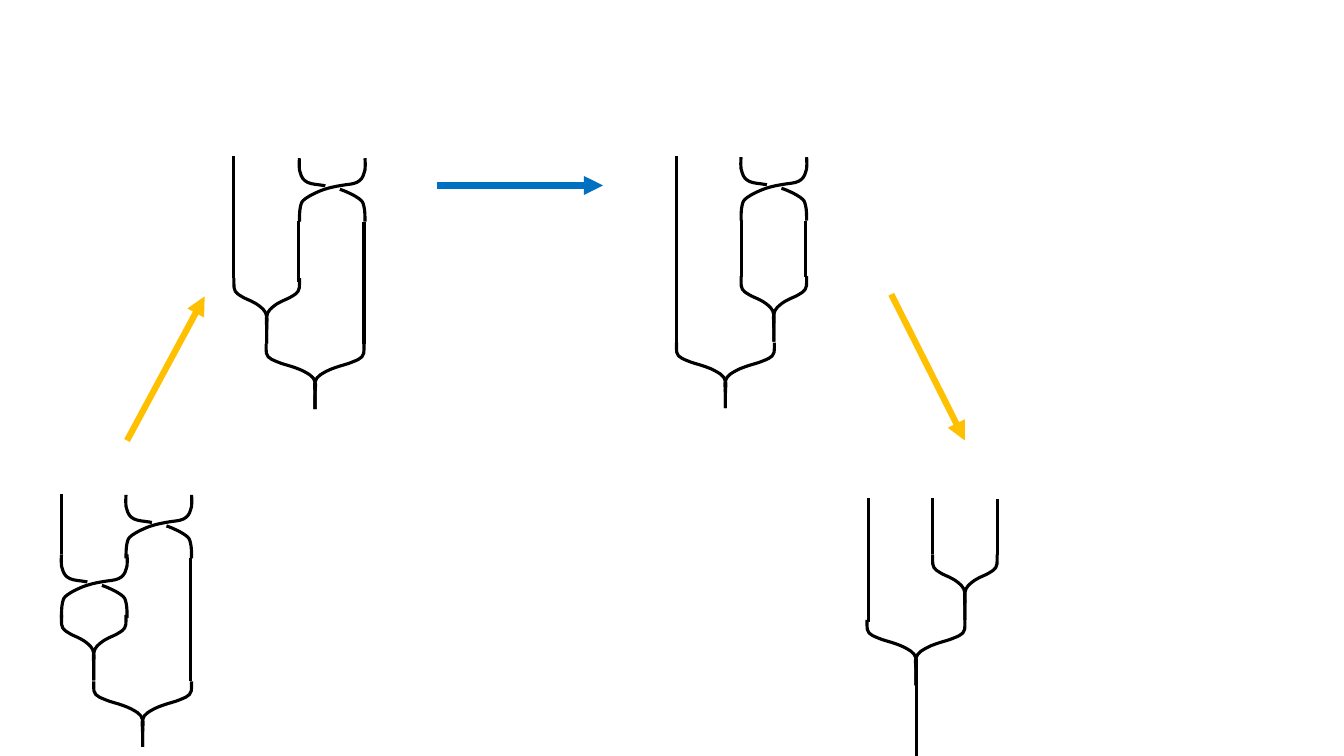
from lxml import etree
from pptx import Presentation
from pptx import util as u
from pptx.dml import color
from pptx.enum import shapes
from pptx.oxml import ns

PX = u.Inches(0.01)
COLORS = {"strand": "000000", "gap": "FFFFFF", "over": "0070C0", "side": "FFC000"}

PRONG_SIZE = 48
PRONG = [
    (0, 0),
    (0, 0), (0, 4), (0, 6),
    (0, 8), (0, 11), (2, 13),
    (4, 15), (6, 16), (11, 18),
    (15, 20), (24, 22), (29, 24),
    (35, 26), (40, 29), (43, 31),
    (46, 33), (47, 35), (48, 38),
    (49, 41), (48, 44), (48, 51),
    (48, 58), (48, 65), (48, 65),
]
CROSSING_SIZE = 64
CROSSING = [
    (0, 63),
    (0, 58), (0, 52), (1, 48),
    (2, 44), (2, 43), (6, 40),
    (10, 37), (18, 33), (24, 31),
    (30, 29), (35, 28), (41, 27),
    (46, 26), (52, 26), (56, 24),
    (60, 22), (62, 19), (63, 15),
    (65, 12), (64, 1), (64, 0),
]

TREES = [
    {
        "forks": [(93, 676, 97), (61, 610, 64)],
        "crossings": [(61, 550), (125, 491)],
        "strands": [(189, 554, 676), (61, 490, 550)],
    },
    {
        "forks": [(264, 341, 97), (232, 276, 65)],
        "crossings": [(297, 157)],
        "strands": [(361, 220, 341), (232, 155, 276), (296, 219, 280)],
    },
    {
        "forks": [(671, 340, 97), (735, 274, 65)],
        "crossings": [(735, 156)],
        "strands": [(799, 219, 275), (671, 155, 340), (735, 218, 275)],
    },
    {
        "forks": [(860, 615, 97), (925, 550, 64)],
        "crossings": [],
        "strands": [(989, 495, 551), (861, 494, 617), (925, 494, 550), (909, 660, 750)],
    },
]
ARROWS = [
    (433, 184, 598, 184, "over"),
    (884, 292, 957, 437, "side"),
    (126, 437, 203, 294, "side"),
]


class BraidSlide:
    def __init__(self, presentation):
        self.slide = presentation.slides.add_slide(presentation.slide_layouts[6])
        self.target = self.slide.shapes
        self.strand_width = u.Pt(2.25)
        self.arrow_width = u.Pt(4.5)

    def style_line(self, line, color_name, width):
        line.color.rgb = color.RGBColor.from_string(COLORS[color_name])
        line.width = width

    def curve(self, points):
        vertices = [(round(x * PX), round(y * PX)) for x, y in points]
        builder = self.target.build_freeform(*vertices[0])
        builder.add_line_segments(vertices[1:], close=False)
        shape = builder.convert_to_shape()
        segments = list(shape._element.iter(ns.qn("a:lnTo")))
        for first, second, third in zip(segments[::3], segments[1::3], segments[2::3]):
            first.tag = ns.qn("a:cubicBezTo")
            for segment in (second, third):
                first.append(segment[0])
                segment.getparent().remove(segment)
        shape.fill.background()
        shape.shadow.inherit = False
        self.style_line(shape.line, "strand", self.strand_width)

    def half(self, outline, left, top, scale, mirror_width=None):
        points = [(x * scale, y) for x, y in outline]
        if mirror_width is not None:
            points = [(mirror_width - x, y) for x, y in points]
        self.curve([(left + x, top + y) for x, y in points])

    def fork(self, left, top, width):
        scale = width / 2 / PRONG_SIZE
        self.half(PRONG, left, top, scale)
        self.half(PRONG, left, top, scale, width)

    def crossing(self, left, top, width=65):
        scale = width / CROSSING_SIZE
        self.half(CROSSING, left, top, scale, width)
        self.gap(left + 27, top + 23, 12, 11)
        self.half(CROSSING, left, top, scale)

    def gap(self, left, top, width, height):
        box = (length * PX for length in (left, top, width, height))
        shape = self.target.add_shape(shapes.MSO_SHAPE.OVAL, *box)
        shape.shadow.inherit = False
        shape.fill.solid()
        shape.fill.fore_color.rgb = color.RGBColor.from_string(COLORS["gap"])
        self.style_line(shape.line, "gap", self.strand_width)

    def line(self, x1, y1, x2, y2, color_name, width):
        ends = (length * PX for length in (x1, y1, x2, y2))
        connector = self.target.add_connector(shapes.MSO_CONNECTOR.STRAIGHT, *ends)
        self.style_line(connector.line, color_name, width)
        etree.SubElement(connector._element.spPr, ns.qn("a:effectLst"))
        return connector

    def strand(self, x, top, bottom):
        self.line(x, top, x, bottom, "strand", self.strand_width)

    def arrow(self, x1, y1, x2, y2, color_name):
        connector = self.line(x1, y1, x2, y2, color_name, self.arrow_width)
        outline = connector.line._get_or_add_ln()
        etree.SubElement(outline, ns.qn("a:tailEnd"), type="triangle")

    def tree(self, forks, crossings, strands):
        self.target = self.slide.shapes.add_group_shape().shapes
        for fork in forks:
            self.fork(*fork)
        for crossing in crossings:
            self.crossing(*crossing)
        for strand in strands:
            self.strand(*strand)
        self.target = self.slide.shapes


def main():
    presentation = Presentation()
    presentation.slide_width = 1333 * PX
    presentation.slide_height = 750 * PX
    braid_slide = BraidSlide(presentation)
    for tree in TREES:
        braid_slide.tree(**tree)
    for arrow in ARROWS:
        braid_slide.arrow(*arrow)
    presentation.save("out.pptx")


if __name__ == "__main__":
    main()
